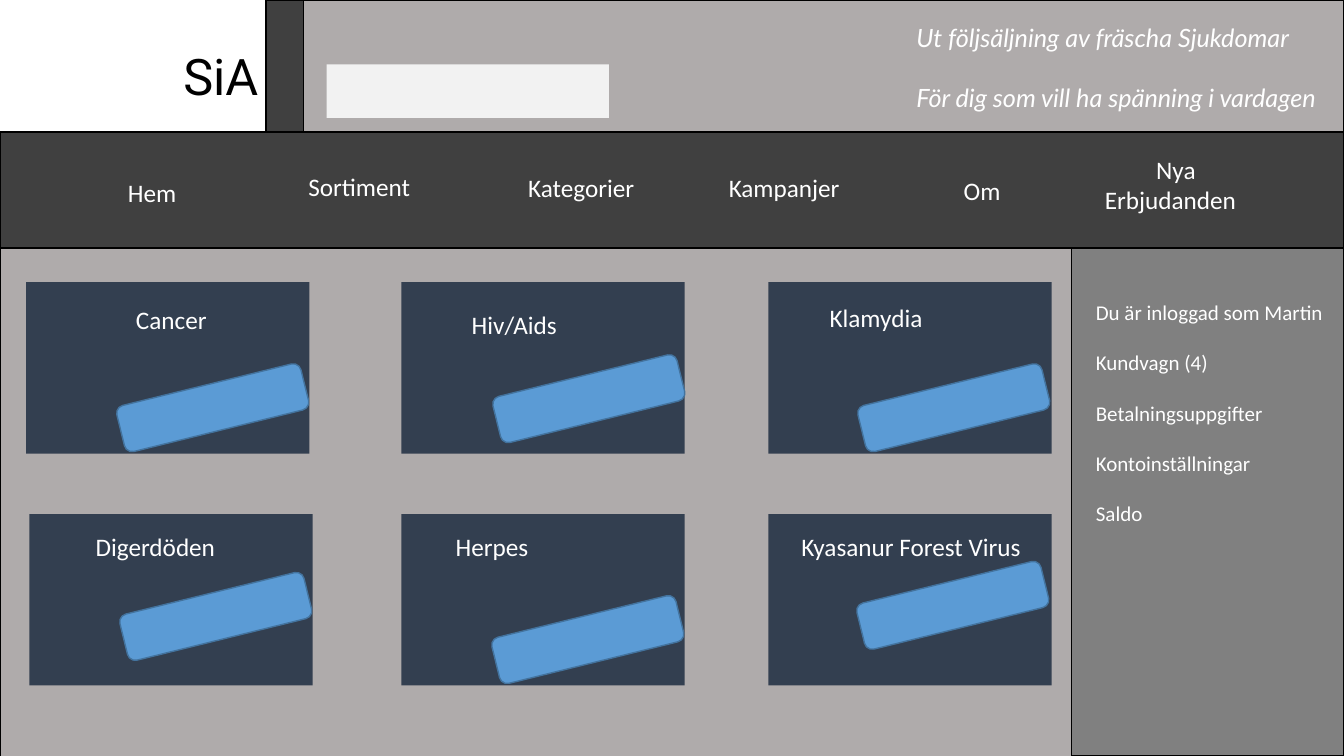
import pptx
import pptx.util
import pptx.dml.color
import pptx.enum.shapes

Inches, Pt = pptx.util.Inches, pptx.util.Pt
RGBColor = pptx.dml.color.RGBColor
MSO_SHAPE = pptx.enum.shapes.MSO_SHAPE

BLACK = RGBColor(0x00, 0x00, 0x00)
WHITE = RGBColor(0xFF, 0xFF, 0xFF)
PALE = RGBColor(0xF2, 0xF2, 0xF2)
WARM_GREY = RGBColor(0xAF, 0xAB, 0xAB)
MID_GREY = RGBColor(0x80, 0x80, 0x80)
DARK_GREY = RGBColor(0x40, 0x40, 0x40)
NAVY = RGBColor(0x33, 0x3F, 0x50)
BLUE = RGBColor(0x5B, 0x9B, 0xD5)
BLUE_EDGE = RGBColor(0x43, 0x73, 0x9E)

# Page areas: left, top, width, height, fill
PANELS = [
    (2.96, 0, 10.37, 7.5, WARM_GREY),
    (0, 2.33, 13.33, 5.19, WARM_GREY),
    (0, 1.31, 13.33, 1.15, DARK_GREY),
    (2.64, 0, 0.37, 1.31, DARK_GREY),
    (10.63, 2.46, 2.7, 5.04, MID_GREY),
]
SEARCH_FIELD = (3.24, 0.64, 2.8, 0.53)
LOGO_TEXT = "SiA"
SLOGAN = ["Ut följsäljning av fräscha Sjukdomar",
          "För dig som vill ha spänning i vardagen"]
ACCOUNT = ["Du är inloggad som Martin", "Kundvagn (4)", "Betalningsuppgifter",
           "Kontoinställningar", "Saldo"]

# Menu entries: text, left, top, width, height, first-line indent
MENU = [
    ("Hem", 1.17, 1.71, 1.05, 0.4, 0),
    ("Sortiment", 2.96, 1.65, 3.24, 0.4, 0),
    ("Kategorier", 5.14, 1.66, 1.93, 0.4, 0),
    ("Kampanjer", 7.13, 1.66, 2.43, 0.4, 0),
    ("Om", 9.46, 1.69, 1.7, 0.4, 0),
    ("Nya Erbjudanden", 10.86, 1.48, 1.9, 0.71, 0.51),
]

# Product cards: name, card left, card top, name (left, top, width), button (left, top)
CARD_W, CARD_H = 2.81, 1.7
BUTTON_W, BUTTON_H, BUTTON_TILT = 1.88, 0.47, 346.2
CARDS = [
    ("Cancer", 0.26, 2.8, (1.25, 2.97, 1.2), (1.17, 3.81)),
    ("Hiv/Aids", 3.98, 2.8, (4.58, 3.02, 1.85), (4.9, 3.72)),
    ("Klamydia", 7.62, 2.8, (8.13, 2.95, 1.73), (8.52, 3.81)),
    ("Digerdöden", 0.29, 5.1, (0.85, 5.22, 1.79), (1.2, 5.88)),
    ("Herpes", 3.98, 5.1, (4.42, 5.22, 1.69), (4.89, 6.11)),
    ("Kyasanur Forest Virus", 7.62, 5.1, (7.85, 5.22, 2.44), (8.51, 5.77)),
]


def add_box(s, box, fill, edge=None, kind=MSO_SHAPE.RECTANGLE):
    sp = s.shapes.add_shape(kind, *[Inches(v) for v in box])
    sp.shadow.inherit = False
    sp.fill.solid()
    sp.fill.fore_color.rgb = fill
    if edge is None:
        sp.line.fill.background()
    else:
        sp.line.color.rgb = edge
        sp.line.width = Pt(1)
    return sp


def add_text(s, box, lines, size=18, font="Calibri", color=WHITE,
             italic=False, gap=0, indent=0):
    """Add one paragraph per line, with gap points between and a first-line indent in inches."""
    tf = s.shapes.add_textbox(*[Inches(v) for v in box]).text_frame
    tf.word_wrap = True
    tf.text = "\n".join(lines)
    for i, p in enumerate(tf.paragraphs):
        if i:
            p.space_before = Pt(gap)
        if indent:
            p._p.get_or_add_pPr().set("indent", str(Inches(indent)))
        for r in p.runs:
            r.font.size = Pt(size)
            r.font.name = font
            r.font.color.rgb = color
            r.font.italic = italic


def main():
    prs = pptx.Presentation()
    prs.slide_width, prs.slide_height = Inches(13.33), Inches(7.5)
    s = prs.slides.add_slide(prs.slide_layouts[6])

    for *box, fill in PANELS:
        add_box(s, box, fill, BLACK)

    add_text(s, (1.72, 0.4, 1.35, 0.71), [LOGO_TEXT], 36, "Roboto", BLACK)
    add_box(s, SEARCH_FIELD, PALE)
    add_text(s, (8.99, 0.17, 4.35, 1.01), SLOGAN, font="Lato", italic=True, gap=21.5)

    for name, *box, indent in MENU:
        add_text(s, box, [name], indent=indent)

    add_text(s, (10.77, 2.92, 2.52, 2.63), ACCOUNT, 15, gap=18)

    for name, left, top, name_at, button_at in CARDS:
        add_box(s, (left, top, CARD_W, CARD_H), NAVY)
        button = add_box(s, (*button_at, BUTTON_W, BUTTON_H), BLUE, BLUE_EDGE,
                         MSO_SHAPE.ROUNDED_RECTANGLE)
        button.rotation = BUTTON_TILT
        add_text(s, (*name_at, 0.4), [name])

    prs.save("out.pptx")


if __name__ == "__main__":
    main()
